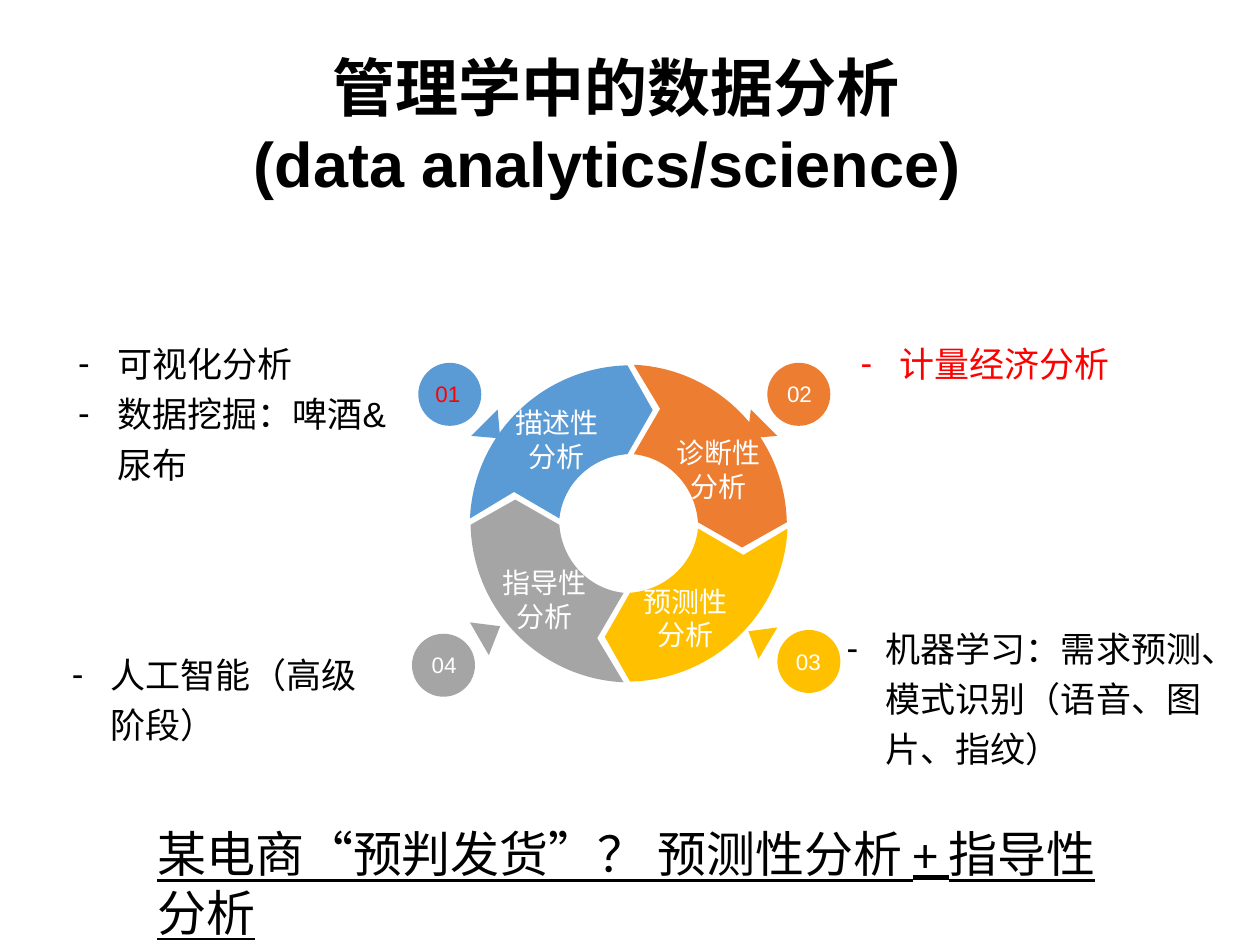
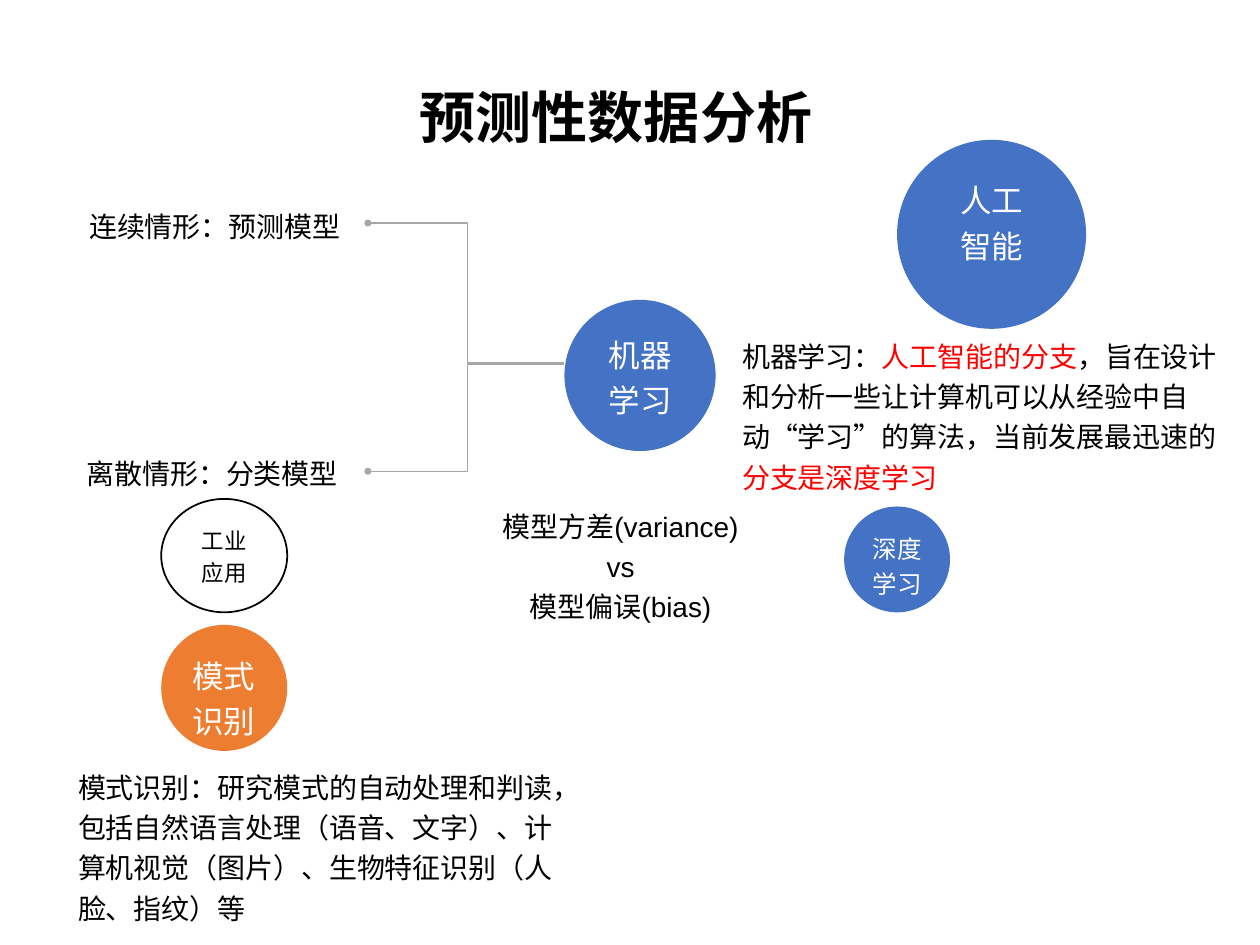
from lxml import etree
from pptx import Presentation
from pptx import util as u
from pptx.dml.color import RGBColor
from pptx.enum import shapes, text
from pptx.oxml import ns

# Shared colours
BLACK = RGBColor(0x00, 0x00, 0x00)
WHITE = RGBColor(0xFF, 0xFF, 0xFF)
RED = RGBColor(0xFF, 0x00, 0x00)
BLUE = RGBColor(0x5B, 0x9B, 0xD5)
ORANGE = RGBColor(0xED, 0x7D, 0x31)
YELLOW = RGBColor(0xFF, 0xC0, 0x00)
GREY = RGBColor(0xA5, 0xA5, 0xA5)
DEEP_BLUE = RGBColor(0x44, 0x72, 0xC4)
BRACKET_GREY = RGBColor(0xA6, 0xA6, 0xA6)

# Grid of 10 columns by 7.5 rows
WIDTH, HEIGHT = u.Inches(10), u.Inches(7.5)
COLUMN, ROW = WIDTH / 10, HEIGHT / 7.5
TITLE_ONLY = 5
CENTER = text.PP_ALIGN.CENTER
LEFT = text.PP_ALIGN.LEFT
TOP = text.MSO_ANCHOR.TOP
MIDDLE = text.MSO_ANCHOR.MIDDLE
BULLET_INDENT = 0.31

# Ring centre, and the outline of its upper left quarter around that centre
RING_X, RING_Y = 4.99, 4.155
RING_QUARTER = [
    (0.19, -0.9), (-0.01, -1.255),
    (-0.68, -1.24), (-1.23, -0.71), (-1.26, -0.04),
    (-0.91, -0.25), (-0.55, -0.04),
    (-0.52, -0.32), (-0.29, -0.53), (-0.01, -0.55)]
RING_CURVES = (2, 7)  # index of the first control point of each curve


def place(left, top, width, height):
    return (round(left * COLUMN), round(top * ROW),
            round(width * COLUMN), round(height * ROW))


def set_values(target, values):
    for name, value in values.items():
        setattr(target, name, value)


def set_frame(frame, margins=(0, 0), anchor=TOP):
    horizontal, vertical = (u.Inches(margin) for margin in margins)
    set_values(frame, {
        "margin_left": horizontal, "margin_right": horizontal,
        "margin_top": vertical, "margin_bottom": vertical,
        "word_wrap": True, "vertical_anchor": anchor,
        "auto_size": text.MSO_AUTO_SIZE.NONE})


def add_dash(paragraph):
    properties = paragraph._p.get_or_add_pPr()
    indent = u.Inches(BULLET_INDENT)
    properties.set("marL", str(indent))
    properties.set("indent", str(-indent))
    font = etree.SubElement(properties, ns.qn("a:buFont"))
    font.set("typeface", "Arial")
    etree.SubElement(properties, ns.qn("a:buChar")).set("char", "-")


def write(frame, paragraphs, size, color=BLACK, align=LEFT, spacing=None,
          dash=False, **font_values):
    """Each paragraph is a string or a list of (string, colour) runs."""
    for number, content in enumerate(paragraphs):
        paragraph = frame.paragraphs[0] if number == 0 else frame.add_paragraph()
        set_values(paragraph, {"alignment": align, "line_spacing": spacing})
        if dash:
            add_dash(paragraph)
        runs = [(content, color)] if isinstance(content, str) else content
        for words, run_color in runs:
            run = paragraph.add_run()
            run.text = words
            set_values(run.font, {"name": "Arial", "size": u.Pt(size),
                                  **font_values})
            run.font.color.rgb = run_color


def add_slide(presentation, title_box, title_lines, size):
    slide = presentation.slides.add_slide(presentation.slide_layouts[TITLE_ONLY])
    title = slide.shapes.title
    names = ("left", "top", "width", "height")
    set_values(title, dict(zip(names, place(*title_box))))
    set_frame(title.text_frame, anchor=MIDDLE)
    write(title.text_frame, title_lines, size, align=CENTER, bold=True)
    return slide


def add_text(slide, box, paragraphs, size, margins=(0, 0), anchor=TOP, **style):
    shape = slide.shapes.add_textbox(*place(*box))
    set_frame(shape.text_frame, margins, anchor)
    write(shape.text_frame, paragraphs, size, **style)


def paint(shape, fill, line=None, weight=1):
    shape.shadow.inherit = False
    if fill is None:
        shape.fill.background()
    else:
        shape.fill.solid()
        shape.fill.fore_color.rgb = fill
    if line is None:
        shape.line.fill.background()
    else:
        shape.line.color.rgb = line
        shape.line.width = u.Pt(weight)


def add_circle(slide, box, fill, line=None):
    shape = slide.shapes.add_shape(shapes.MSO_SHAPE.OVAL, *place(*box))
    paint(shape, fill, line)
    return shape


def add_topic(slide, box, fill, paragraphs, size, line=None, color=WHITE,
              align=CENTER):
    frame = add_circle(slide, box, fill, line).text_frame
    set_frame(frame, margins=(0.1, 0.05))
    write(frame, paragraphs, size, color, align, spacing=1.2)


def add_outline(slide, points, fill=None, line=None, weight=1, close=True):
    spots = [(x * COLUMN, y * ROW) for x, y in points]
    builder = slide.shapes.build_freeform(*spots[0], scale=1.0)
    builder.add_line_segments(spots[1:], close=close)
    shape = builder.convert_to_shape()
    paint(shape, fill, line, weight)
    return shape


def bend(shape, curve_starts):
    """Turn three line steps from each start into one Bezier curve."""
    outline = next(shape._element.iter(ns.qn("a:path")))
    steps = list(outline)
    for start in curve_starts:
        curve = etree.Element(ns.qn("a:cubicBezTo"))
        steps[start].addprevious(curve)
        for step in steps[start:start + 3]:
            curve.append(step[0])
            outline.remove(step)


def add_ring_part(slide, quarter_turns, fill):
    points = RING_QUARTER
    for _ in range(quarter_turns):
        points = [(-y, x) for x, y in points]
    shape = add_outline(slide, [(RING_X + x, RING_Y + y) for x, y in points], fill)
    bend(shape, RING_CURVES)


def add_bracket(slide, start_row, end_row):
    points = [(4.48, start_row), (3.71, start_row),
              (3.71, end_row), (2.92, end_row)]
    shape = add_outline(slide, points, line=BRACKET_GREY, weight=0.75, close=False)
    tail = etree.SubElement(shape.line._get_or_add_ln(), ns.qn("a:tailEnd"))
    for name, value in {"type": "oval", "w": "sm", "len": "sm"}.items():
        tail.set(name, value)


def build_analytics_ring(presentation):
    slide = add_slide(presentation, (0.62, 0.38, 8.54, 1.21),
                      ["管理学中的数据分析", "(data analytics/science) "], 36)

    # Clockwise: name, colour, label corner, number, its colour and corner,
    # disc corner, pointer
    stages = [
        ("描述性分析", BLUE, (4, 3.22), "01", RED, (3.31, 2.93), (3.32, 2.88),
         [(3.95, 3.25), (3.74, 3.46), (3.97, 3.48)]),
        ("诊断性分析", ORANGE, (5.28, 3.46), "02", WHITE, (6.1, 2.93), (6.09, 2.88),
         [(5.96, 3.25), (6.17, 3.46), (5.93, 3.48)]),
        ("预测性分析", YELLOW, (5.02, 4.64), "03", WHITE, (6.17, 5.06), (6.17, 5),
         [(6.02, 5.23), (6.17, 4.98), (5.94, 5.01)]),
        ("指导性分析", GREY, (3.9, 4.49), "04", WHITE, (3.28, 5.08), (3.27, 5.03),
         [(3.73, 4.94), (3.88, 5.2), (3.97, 4.97)]),
    ]
    for turns, stage in enumerate(stages):
        _, fill, _, number, color, number_corner, disc, pointer = stage
        add_circle(slide, (*disc, 0.5, 0.5), fill)
        add_outline(slide, pointer, fill)
        add_text(slide, (*number_corner, 0.49, 0.38), [number], 12.8,
                 margins=(0, 0.07), anchor=MIDDLE, color=color, align=CENTER)
        add_ring_part(slide, turns, fill)
    for name, _, corner, *_ in stages:
        add_text(slide, (*corner, 0.84, 0.53), [name], 16, anchor=MIDDLE,
                 color=WHITE, align=CENTER)

    # Methods beside each stage
    methods = [
        ((0.62, 2.65, 2.5, 1.21), ["可视化分析", "数据挖掘：啤酒&尿布"], BLACK),
        ((6.83, 2.65, 2.5, 0.4), ["计量经济分析"], RED),
        ((6.72, 4.91, 3.07, 1.21),
         ["机器学习：需求预测、模式识别（语音、图片、指纹）"], BLACK),
        ((0.57, 5.12, 2.5, 0.81), ["人工智能（高级阶段）"], BLACK),
    ]
    for box, lines, color in methods:
        add_text(slide, box, lines, 20, color=color, spacing=1.2, dash=True)

    # Closing question
    add_text(slide, (1.15, 6.49, 8.02, 0.57),
             ["某电商“预判发货”？ 预测性分析 + 指导性分析"], 28,
             margins=(0.1, 0.05), name="Calibri", underline=True)


def build_prediction(presentation):
    slide = add_slide(presentation, (0.62, 0.65, 8.54, 0.54),
                      ["预测性数据分析"], 32)

    # Topic circles
    add_topic(slide, (1.28, 4.96, 1, 1), ORANGE, ["模式识别"], 18, align=LEFT)
    add_topic(slide, (1.28, 3.96, 1, 0.9), WHITE, ["工业应用"], 12.8,
              line=BLACK, color=BLACK)
    for box, lines, size in [
            ((4.48, 2.38, 1.2, 1.2), ["机器学习"], 18),
            ((6.7, 4.02, 0.84, 0.84), ["深度学习"], 14),
            ((7.12, 1.11, 1.5, 1.5), ["人工", "智能"], 18)]:
        add_topic(slide, box, DEEP_BLUE, lines, size)

    # Branches to the two model types
    add_bracket(slide, 2.88, 1.77)
    add_bracket(slide, 2.89, 3.74)

    # Labels and explanations
    definition = [("机器学习：", BLACK), ("人工智能的分支", RED),
                  ("，旨在设计和分析一些让计算机可以从经验中自动“学习”的算法，"
                   "当前发展最迅速的", BLACK), ("分支是深度学习", RED)]
    recognition = ("模式识别：研究模式的自动处理和判读，包括自然语言处理（语音、文字）、"
                   "计算机视觉（图片）、生物特征识别（人脸、指纹）等")
    for box, lines, align in [
            ((0.48, 1.61, 2.45, 0.3), ["连续情形：预测模型"], CENTER),
            ((0.46, 3.57, 2.45, 0.32), ["离散情形：分类模型"], CENTER),
            ((3.7, 3.99, 2.45, 0.97),
             ["模型方差(variance)", "vs", "模型偏误(bias)"], CENTER),
            ((5.89, 2.64, 3.86, 1.29), [definition], LEFT),
            ((0.62, 6.06, 3.86, 1.29), [recognition], LEFT)]:
        add_text(slide, box, lines, 16, align=align, spacing=1.2)


def main():
    presentation = Presentation()
    set_values(presentation, {"slide_width": WIDTH, "slide_height": HEIGHT})
    build_analytics_ring(presentation)
    build_prediction(presentation)
    presentation.save("out.pptx")


if __name__ == "__main__":
    main()
